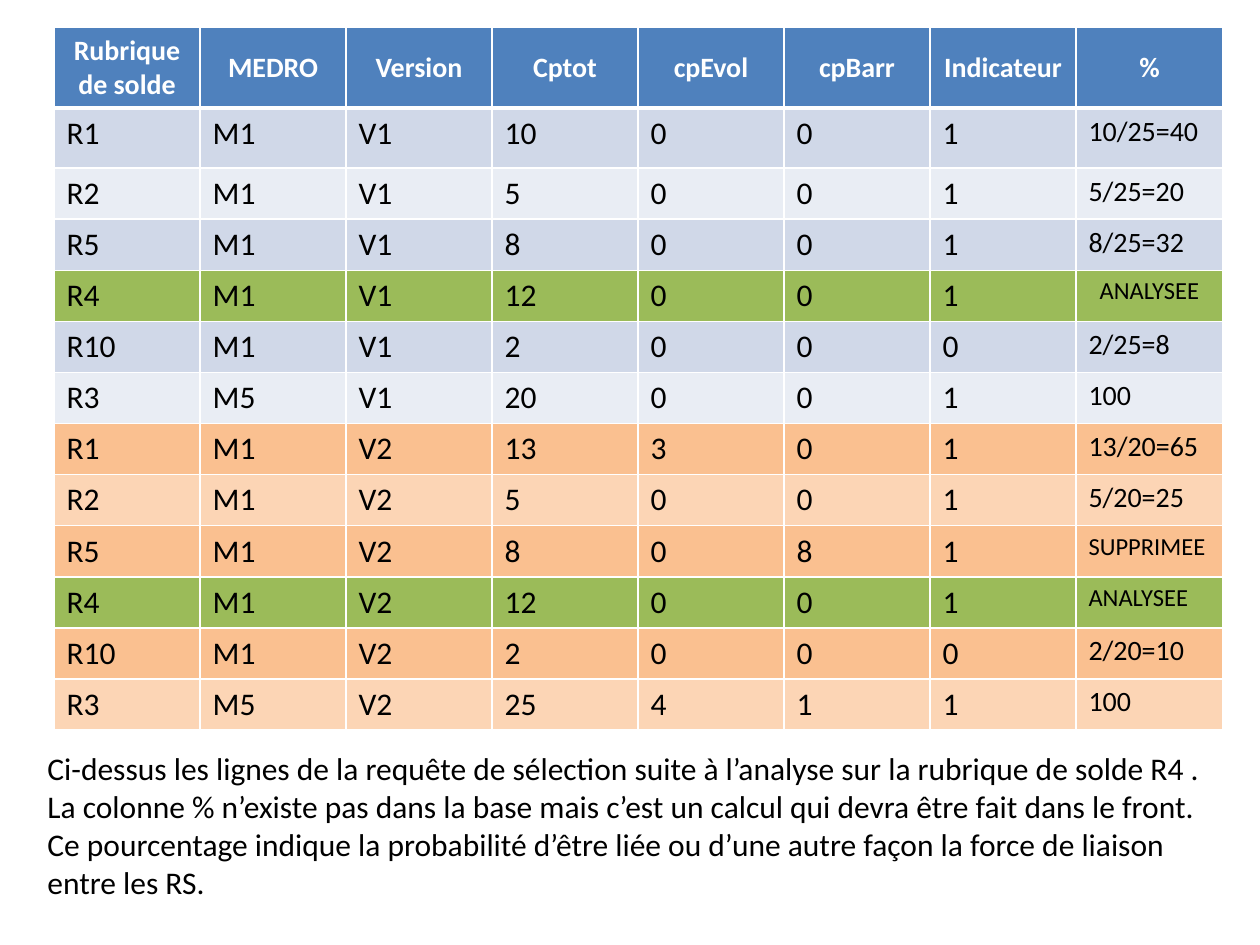
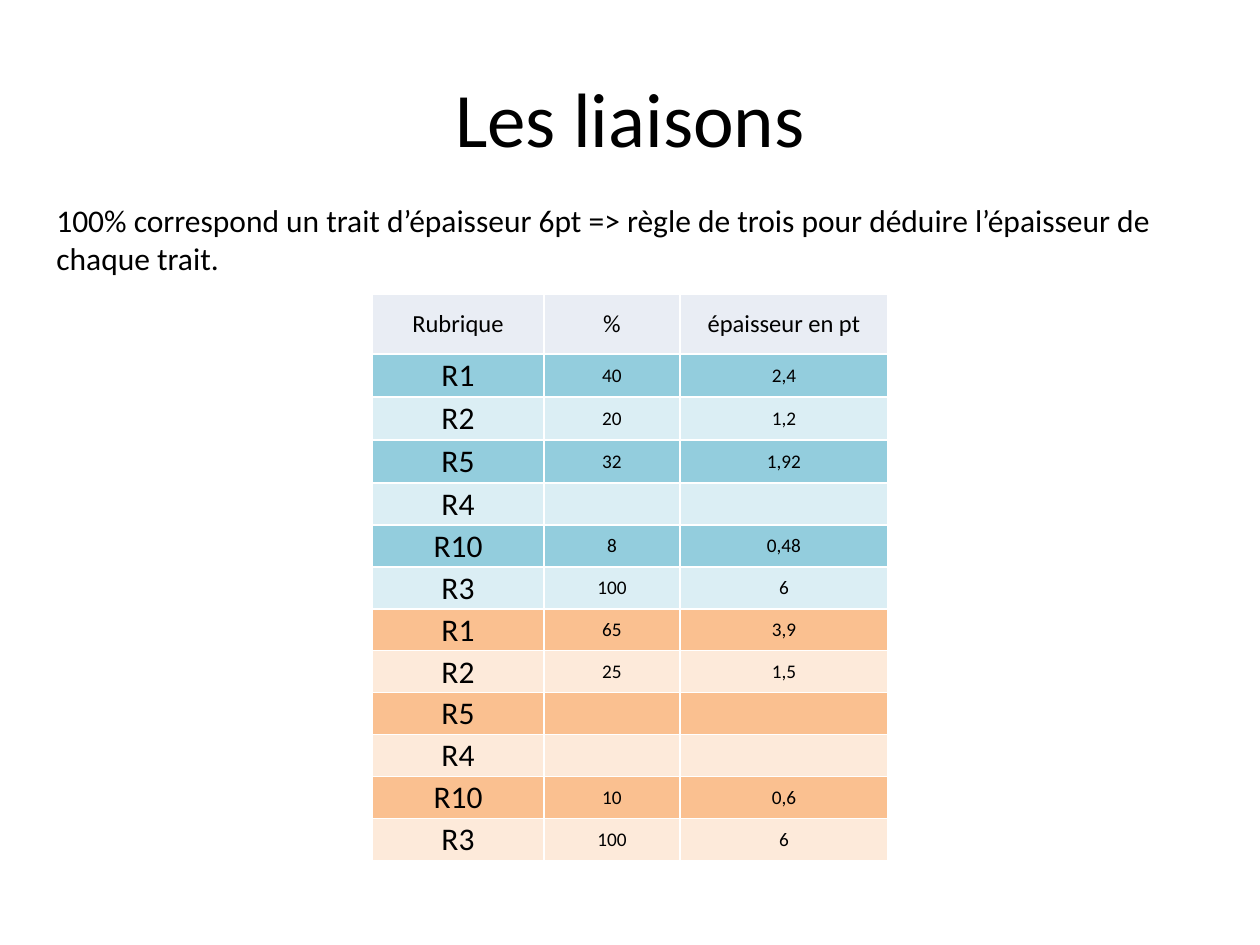
from dataclasses import dataclass
from lxml.etree import SubElement
from pptx import Presentation
from pptx.dml.color import RGBColor
from pptx.enum.text import MSO_ANCHOR, PP_ALIGN
from pptx.oxml.ns import qn
from pptx.util import Emu, Pt


@dataclass(frozen=True)
class Theme:
    font: str = "Calibri"
    black: str = "000000"
    white: str = "FFFFFF"
    head: str = "4F81BD"
    pale: str = "E9EDF4"
    green: str = "9BBB59"
    blues: tuple = ("D0D8E8", "E9EDF4")
    teals: tuple = ("93CDDD", "DBEEF4")
    peach: tuple = ("FAC090", "FCD5B5")
    cream: tuple = ("FAC090", "FDEADA")
    title: int = 44
    body: int = 18
    label: int = 16
    small: int = 14
    tiny: int = 11


THEME = Theme()
HALF = 6

SOLDE_HEAD = ["Rubrique de solde", "MEDRO", "Version", "Cptot",
              "cpEvol", "cpBarr", "Indicateur", "%"]
SOLDE = [
    ["R1", "M1", "V1", "10", "0", "0", "1", "10/25=40"],
    ["R2", "M1", "V1", "5", "0", "0", "1", "5/25=20"],
    ["R5", "M1", "V1", "8", "0", "0", "1", "8/25=32"],
    ["R4", "M1", "V1", "12", "0", "0", "1", "ANALYSEE"],
    ["R10", "M1", "V1", "2", "0", "0", "0", "2/25=8"],
    ["R3", "M5", "V1", "20", "0", "0", "1", "100"],
    ["R1", "M1", "V2", "13", "3", "0", "1", "13/20=65"],
    ["R2", "M1", "V2", "5", "0", "0", "1", "5/20=25"],
    ["R5", "M1", "V2", "8", "0", "8", "1", "SUPPRIMEE"],
    ["R4", "M1", "V2", "12", "0", "0", "1", "ANALYSEE"],
    ["R10", "M1", "V2", "2", "0", "0", "0", "2/20=10"],
    ["R3", "M5", "V2", "25", "4", "1", "1", "100"],
]
SOLDE_NOTE = [
    "Ci-dessus les lignes de la requête de sélection suite à l’analyse sur la "
    "rubrique de solde R4 .",
    "La colonne % n’existe pas dans la base mais c’est un calcul qui devra être "
    "fait dans le front. Ce pourcentage indique la probabilité d’être liée ou "
    "d’une autre façon la force de liaison entre les RS.",
]

TRAIT_HEAD = ["Rubrique", "%", "épaisseur en pt"]
TRAITS = [
    ["R1", "40", "2,4"],
    ["R2", "20", "1,2"],
    ["R5", "32", "1,92"],
    ["R4", "", ""],
    ["R10", "8", "0,48"],
    ["R3", "100", "6"],
    ["R1", "65", "3,9"],
    ["R2", "25", "1,5"],
    ["R5", "", ""],
    ["R4", "", ""],
    ["R10", "10", "0,6"],
    ["R3", "100", "6"],
]
TRAIT_NOTE = [
    "100% correspond un trait d’épaisseur 6pt => règle de trois pour déduire "
    "l’épaisseur de chaque trait.",
]


def px(count):
    return Emu(round(count * 914400 / 126))


def style(para, size, color=THEME.black, bold=False, align=PP_ALIGN.LEFT):
    para.alignment = align
    para.font.name = THEME.font
    para.font.size = Pt(size)
    para.font.bold = bold
    para.font.color.rgb = RGBColor.from_string(color)


def place(shape, left, top, width, height):
    shape.left, shape.top = px(left), px(top)
    shape.width, shape.height = px(width), px(height)


def add_title(slide, text, box):
    title = slide.shapes.title
    place(title, *box)
    frame = title.text_frame
    frame.text = text
    frame.vertical_anchor = MSO_ANCHOR.MIDDLE
    style(frame.paragraphs[0], THEME.title, align=PP_ALIGN.CENTER)


def add_note(slide, lines, box):
    frame = slide.shapes.add_textbox(*map(px, box)).text_frame
    frame.word_wrap = True
    frame.text = "\n".join(lines)
    for para in frame.paragraphs:
        style(para, THEME.body)


def add_edges(cell, thick):
    props = cell._tc.get_or_add_tcPr()
    for side in ("lnL", "lnR", "lnT", "lnB"):
        width = thick.get(side, 1)
        line = SubElement(props, qn(f"a:{side}"), w=str(Pt(width)))
        fill = SubElement(line, qn("a:solidFill"))
        SubElement(fill, qn("a:srgbClr"), val=THEME.white)


def fill_cell(cell, text, fill, size, thick=None, middle=False, **looks):
    add_edges(cell, thick or {})
    cell.fill.solid()
    cell.fill.fore_color.rgb = RGBColor.from_string(fill)
    cell.text = text
    if middle:
        cell.vertical_anchor = MSO_ANCHOR.MIDDLE
    style(cell.text_frame.paragraphs[0], size, **looks)


def add_grid(slide, left, top, cols, rows):
    box = (left, top, sum(cols), sum(rows))
    table = slide.shapes.add_table(len(rows), len(cols), *map(px, box)).table
    table.first_row = table.horz_banding = False
    for col, width in zip(table.columns, cols):
        col.width = px(width)
    for row, height in zip(table.rows, rows):
        row.height = px(height)
    return table


def band(index, first, second):
    return (first if index < HALF else second)[index % 2]


def add_solde(slide):
    table = add_grid(slide, 54, 27, [146] * 7 + [147], [79, 60] + [51] * 11)
    for col, text in enumerate(SOLDE_HEAD):
        fill_cell(table.cell(0, col), text, THEME.head, THEME.label,
                  {"lnB": 3}, True, color=THEME.white, bold=True,
                  align=PP_ALIGN.CENTER)
    for index, row in enumerate(SOLDE):
        studied = row[0] == "R4"
        fill = THEME.green if studied else band(index, THEME.blues, THEME.peach)
        thick = {"lnT": 3} if index == 0 else {}
        for col, text in enumerate(row):
            size, align = THEME.body, PP_ALIGN.LEFT
            if col == len(row) - 1:
                size = THEME.small if text.isalpha() else THEME.label
                if studied and index < HALF:
                    align = PP_ALIGN.CENTER
            fill_cell(table.cell(index + 1, col), text, fill, size, thick,
                      align=align)


def add_traits(slide):
    table = add_grid(slide, 372, 294, [172, 136, 208],
                     [60] + [43] * 3 + [42] * 9)
    for index, row in enumerate([TRAIT_HEAD] + TRAITS):
        fill = band(index - 1, THEME.teals, THEME.cream) if index else THEME.pale
        for col, text in enumerate(row):
            cell = table.cell(index, col)
            cell.margin_left = cell.margin_right = cell.margin_top = px(1)
            cell.margin_bottom = 0
            size = THEME.tiny if col else THEME.body
            fill_cell(cell, text, fill, size if index else THEME.small,
                      middle=True, align=PP_ALIGN.CENTER)


def main():
    deck = Presentation()
    deck.slide_width, deck.slide_height = px(1260), px(945)

    solde = deck.slides.add_slide(deck.slide_layouts[6])
    add_solde(solde)
    add_note(solde, SOLDE_NOTE, (35, 743, 1201, 165))

    links = deck.slides.add_slide(deck.slide_layouts[5])
    add_title(links, "Les liaisons", (63, 38, 1134, 158))
    add_note(links, TRAIT_NOTE, (44, 195, 1171, 89))
    add_traits(links)

    deck.save("out.pptx")


if __name__ == "__main__":
    main()
